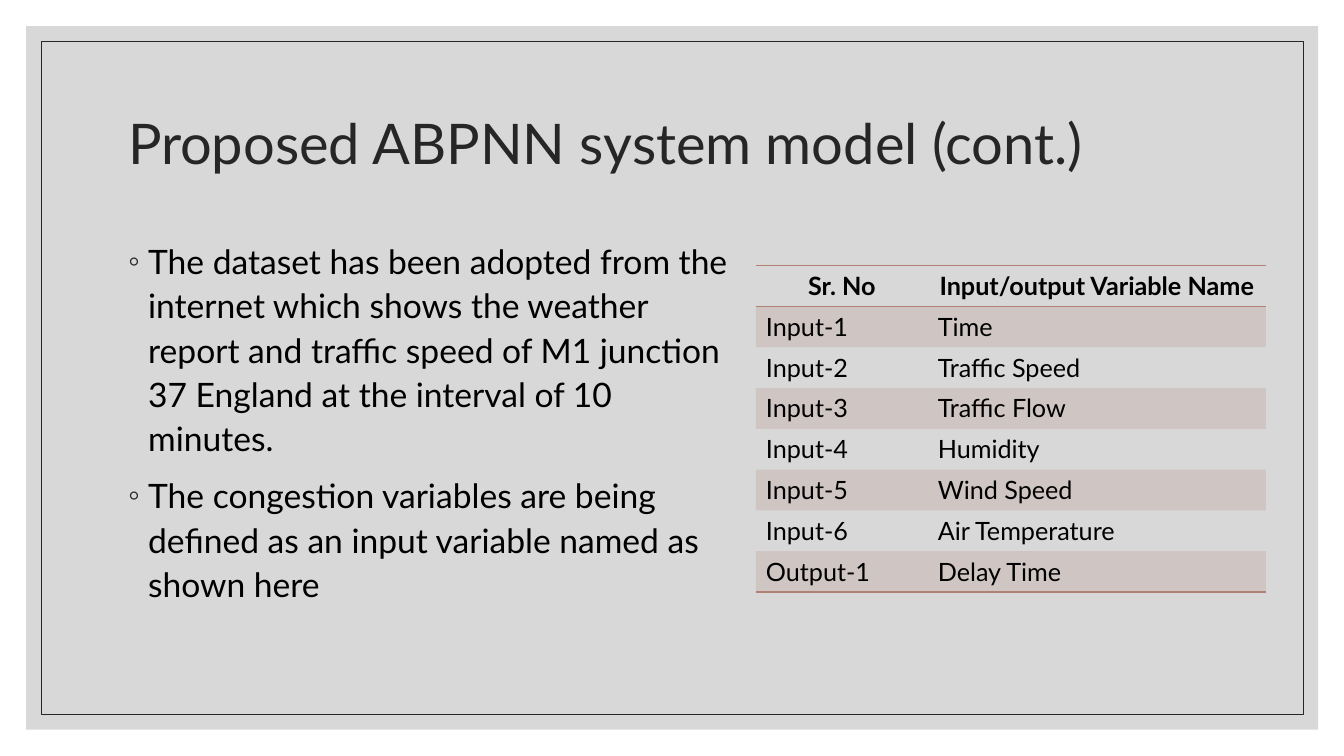
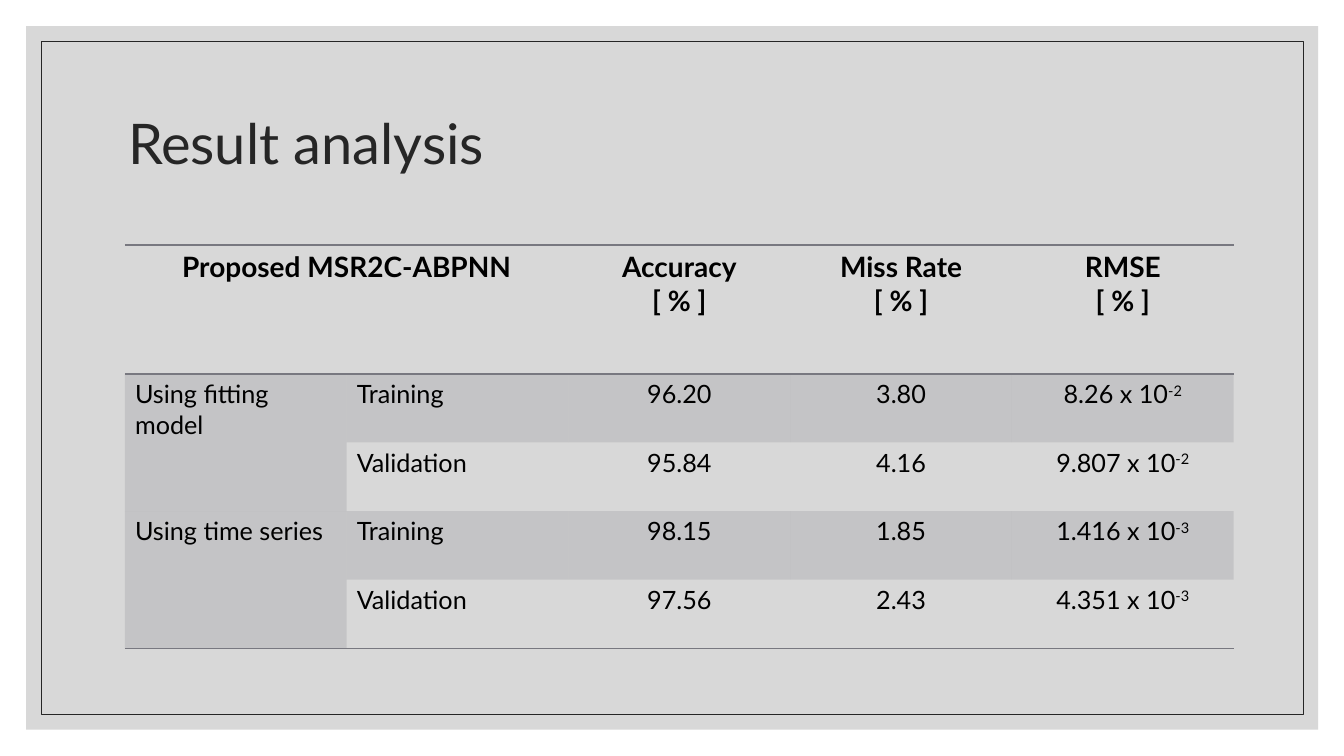
from dataclasses import dataclass

from lxml import etree
from pptx import Presentation
from pptx import util as u
from pptx.dml import color
from pptx.enum import shapes, text
from pptx.oxml import ns

PX = 4572
NO_GRID = "{2D5ABB26-0587-4C30-8999-92F81FD0307C}"


@dataclass(frozen=True)
class Theme:
    """Colours, font and type sizes of the deck."""
    font: str = "Lato"
    panel: str = "BFBFBF"
    ink: str = "262626"
    black: str = "000000"
    clay: str = "AF8073"
    slate: str = "787880"
    title: int = 40
    body: int = 24
    head: int = 20
    cell: int = 18


T = Theme()
TITLE_BOX = (234, 140, 2200, 300)
LEFT, CENTER = text.PP_ALIGN.LEFT, text.PP_ALIGN.CENTER

VARIABLES = [
    ["Sr. No", "Input/output Variable Name"],
    ["Input-1", "Time"],
    ["Input-2", "Traffic Speed"],
    ["Input-3", "Traffic Flow"],
    ["Input-4", "Humidity"],
    ["Input-5", "Wind Speed"],
    ["Input-6", "Air Temperature"],
    ["Output-1", "Delay Time"],
]
RESULTS = [
    ["Proposed MSR2C-ABPNN", "", "Accuracy\n[ % ]", "Miss Rate\n[ % ]", "RMSE\n[ % ]"],
    ["Using fitting model", "Training", "96.20", "3.80", "8.26 x 10^-2"],
    ["", "Validation", "95.84", "4.16", "9.807 x 10^-2"],
    ["Using time series", "Training", "98.15", "1.85", "1.416 x 10^-3"],
    ["", "Validation", "97.56", "2.43", "4.351 x 10^-3"],
]
POINTS = (
    "The dataset has been adopted from the internet which shows the weather report "
    "and traffic speed of M1 junction 37 England at the interval of 10 minutes.\n"
    "The congestion variables are being defined as an input variable named as shown here"
)


def px(n):
    """Turn px into EMU."""
    return u.Emu(n * PX)


def rgb(value):
    """Turn a hex string into a colour."""
    return color.RGBColor.from_string(value)


def sub(parent, tag, **attrs):
    """Append an XML child with attributes."""
    el = etree.SubElement(parent, ns.qn(tag))
    for key, value in attrs.items():
        el.set(key, str(value))
    return el


def fill_alpha(fill, value, percent):
    """Set a solid fill that is partly transparent."""
    fill.solid()
    fill.fore_color.rgb = rgb(value)
    clr = fill._xPr.find(".//" + ns.qn("a:srgbClr"))
    sub(clr, "a:alpha", val=percent * 1000)


def write(tf, content, size=T.cell, ink=T.black, bold=False, align=LEFT,
          spacing=1.0, before=0, bullet=None):
    """Fill a text frame: a newline starts a paragraph, ^ a superscript."""
    for i, line in enumerate(content.split("\n")):
        p = tf.add_paragraph() if i else tf.paragraphs[0]
        p.alignment, p.line_spacing, p.space_before = align, spacing, u.Pt(before)
        if bullet:
            pPr = p._p.get_or_add_pPr()
            pPr.set("marL", str(px(40)))
            pPr.set("indent", str(px(-40)))
            sub(sub(pPr, "a:buClr"), "a:srgbClr", val=T.ink)
            sub(pPr, "a:buChar", char=bullet)
        for k, part in enumerate(line.split("^")):
            r = p.add_run()
            r.text = part
            r.font.name, r.font.size, r.font.bold = T.font, u.Pt(size), bold
            r.font.color.rgb = rgb(ink)
            if k:
                r._r.get_or_add_rPr().set("baseline", "30000")


def place(sp, box):
    """Move a placeholder to a px box and stop it from shrinking its text."""
    sp.left, sp.top, sp.width, sp.height = map(px, box)
    tf = sp.text_frame
    tf.auto_size, tf.word_wrap = text.MSO_AUTO_SIZE.NONE, True
    return tf


def frame(prs, s):
    """Draw the panel and its inner outline, then move them to the master."""
    tree = prs.slide_master.shapes.element
    for i, box in enumerate([(52, 52, 2564, 1396), (82, 82, 2504, 1336)]):
        sp = s.shapes.add_shape(shapes.MSO_SHAPE.RECTANGLE, *map(px, box))
        sp.shadow.inherit = False
        if i:
            sp.fill.background()
            sp.line.color.rgb, sp.line.width = rgb(T.ink), u.Pt(0.5)
        else:
            fill_alpha(sp.fill, T.panel, 60)
            sp.line.fill.background()
        sp.element.nvSpPr.cNvPr.set("id", str(100 + i))
        tree.insert(2 + i, sp.element)


def title(s, content):
    """Write the slide title."""
    tf = place(s.shapes.title, TITLE_BOX)
    tf.vertical_anchor = text.MSO_ANCHOR.MIDDLE
    write(tf, content, size=T.title, ink=T.ink, spacing=0.9)


def points(s, box, content):
    """Write the bulleted body text."""
    tf = place(s.placeholders[1], box)
    tf.vertical_anchor = text.MSO_ANCHOR.TOP
    write(tf, content, size=T.body, spacing=1.1, before=9, bullet="◦")


def rule(cell, side, ink):
    """Draw a 1 pt line on one side of a cell."""
    tcPr = cell._tc.get_or_add_tcPr()
    ln = sub(tcPr, "a:" + side, w=u.Pt(1))
    sub(sub(ln, "a:solidFill"), "a:srgbClr", val=ink)
    tcPr.insert(len(tcPr.findall(ns.qn("a:lnT"))) if side == "lnB" else 0, ln)


def table(s, at, cols, rows, data, accent, head=T.cell, centred=(), merges=()):
    """Add a table with banded odd rows and rules round header and foot."""
    shape = s.shapes.add_table(len(rows), len(cols), *map(px, (*at, sum(cols), sum(rows))))
    tbl = shape.table
    tbl.first_row = tbl.horz_banding = False
    tbl._tbl.tblPr.find(ns.qn("a:tableStyleId")).text = NO_GRID
    for col, width in zip(tbl.columns, cols):
        col.width = px(width)
    for row, height in zip(tbl.rows, rows):
        row.height = px(height)
    for first, last in merges:
        tbl.cell(*first).merge(tbl.cell(*last))
    for i, line in enumerate(data):
        for j, content in enumerate(line):
            cell = tbl.cell(i, j)
            if i % 2:
                fill_alpha(cell.fill, accent, 20)
            else:
                cell.fill.background()
            if i == 0:
                rule(cell, "lnT", accent)
            if i in (0, len(data) - 1):
                rule(cell, "lnB", accent)
            if content:
                write(cell.text_frame, content, size=cell_size(i, head), bold=i == 0,
                      align=CENTER if i == 0 or j in centred else LEFT)
            if cell.is_merge_origin and i + cell.span_height == len(data):
                rule(cell, "lnB", accent)


def cell_size(row, head):
    """Give the type size of a table row."""
    return T.cell if row else head


def model_slide(s):
    """Build the slide on the system model."""
    title(s, "Proposed ABPNN system model (cont.)")
    points(s, (234, 460, 1266, 842), POINTS)
    table(s, (1500, 527), [341, 671], [81] * 8, VARIABLES, T.clay)


def result_slide(s):
    """Build the slide on the results."""
    title(s, "Result analysis")
    table(s, (248, 486), [440] * 5, [256] + [136] * 4, RESULTS, T.slate, head=T.head,
          centred=(2, 3, 4),
          merges=[((0, 0), (0, 1)), ((1, 0), (2, 0)), ((3, 0), (4, 0))])


def main():
    """Build and save the deck."""
    prs = Presentation()
    prs.slide_width, prs.slide_height = px(2667), px(1500)
    s = prs.slides.add_slide(prs.slide_layouts[1])
    frame(prs, s)
    model_slide(s)
    result_slide(prs.slides.add_slide(prs.slide_layouts[5]))
    prs.save("out.pptx")


if __name__ == "__main__":
    main()
